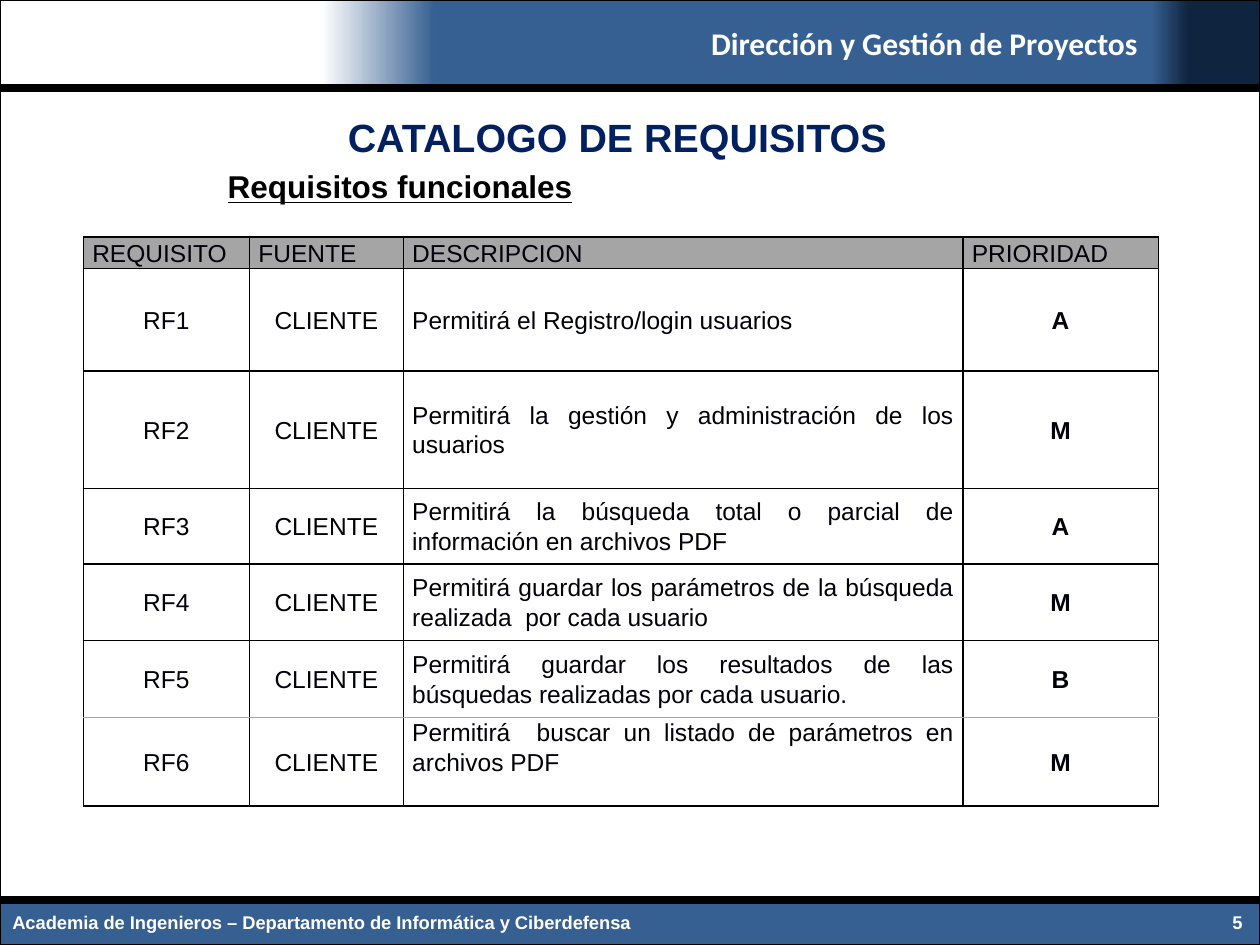
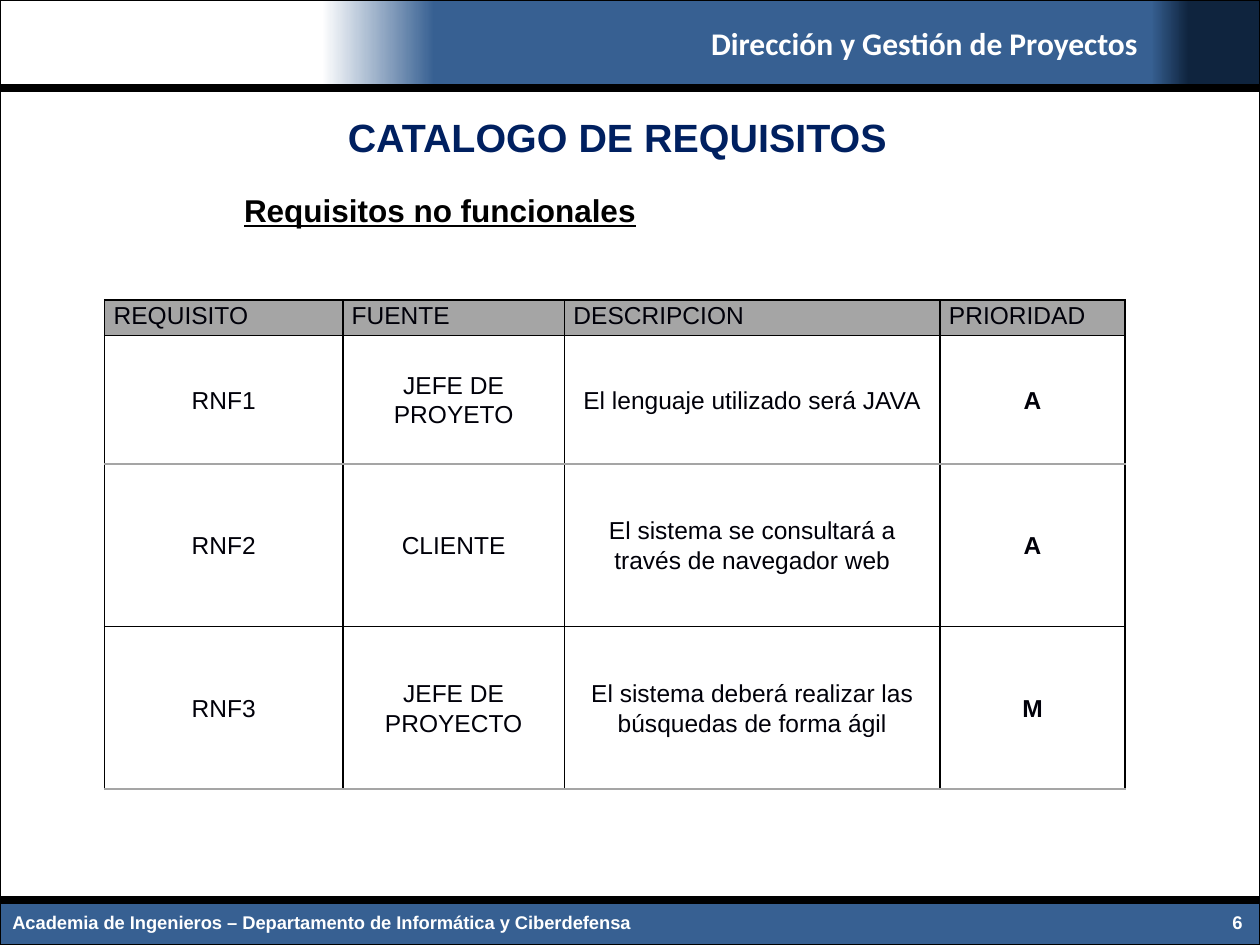
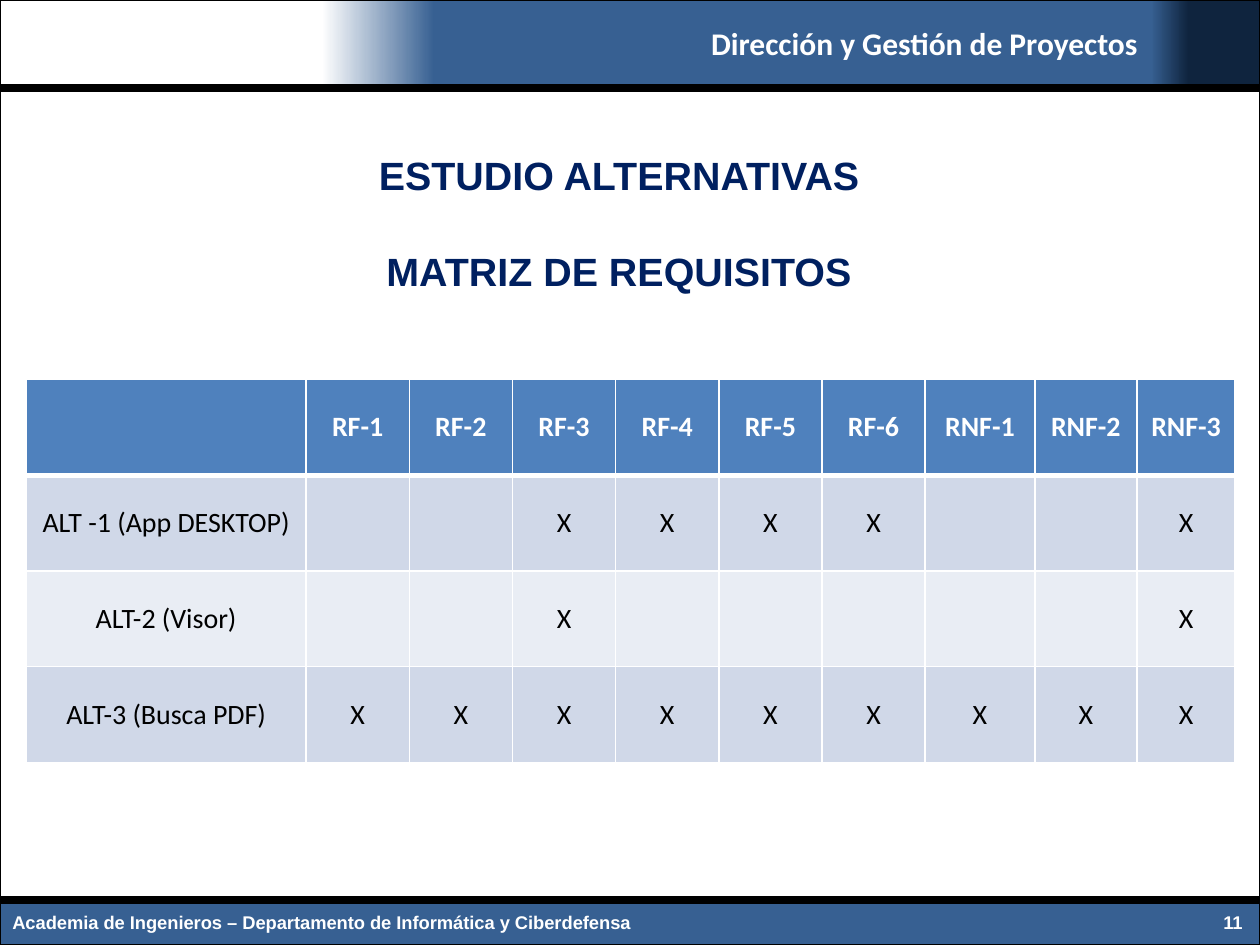
import pptx
import pptx.dml.color
import pptx.enum.shapes
import pptx.enum.text
import pptx.oxml.ns
import pptx.util
from lxml import etree

Cm, Pt, qn = pptx.util.Cm, pptx.util.Pt, pptx.oxml.ns.qn
ALIGN = pptx.enum.text.PP_ALIGN
ANCHOR = pptx.enum.text.MSO_ANCHOR
SHAPE = pptx.enum.shapes.MSO_SHAPE
LINE = pptx.enum.shapes.MSO_CONNECTOR

# Shared colours and sizes (cm)
BLUE, NAVY, DARK = "376092", "002060", "0F243E"
WHITE, BLACK, INK, GREY = "FFFFFF", "000000", "000009", "A5A5A5"
HEAD_BLUE, BANDS = "4F81BD", ("D0D8E8", "E9EDF4")
PAGE_W, PAGE_H = 25.4, 19.05
HEADER = (6.48, -0.05, 19, 1.78)
FOOTER = (0, 18.14, PAGE_W, 0.91)
TITLE = (5.49, 2.21, 13.92, 1.04)
COURSE = "Dirección y Gestión de Proyectos"
SCHOOL = "Academia de Ingenieros – Departamento de Informática y Ciberdefensa"


def rgb(hex_text):
    return pptx.dml.color.RGBColor.from_string(hex_text)


def cm(*lengths):
    return [Cm(v) for v in lengths]


def write(tf, text, size=14, font="Arial", color=BLACK, bold=False, underline=None,
          align=ALIGN.LEFT, anchor=ANCHOR.TOP, line=None, gap=0):
    """Fill a text frame, one paragraph per line; gap is the space between them."""
    tf.word_wrap = True
    tf.vertical_anchor = anchor
    for i, content in enumerate(text.split("\n")):
        p = tf.add_paragraph() if i else tf.paragraphs[0]
        p.alignment = align
        p.line_spacing = line
        p.space_before = Pt(gap if i else 0)
        r = p.add_run()
        r.text = content
        f = r.font
        f.size, f.name, f.bold, f.underline = Pt(size), font, bold, underline
        f.color.rgb = rgb(color)


def add_text(s, box, text, **fmt):
    write(s.shapes.add_textbox(*cm(*box)).text_frame, text, **fmt)


def add_rect(s, box, fill=None, line=None):
    sp = s.shapes.add_shape(SHAPE.RECTANGLE, *cm(*box))
    sp.shadow.inherit = False
    if fill:
        sp.fill.solid()
        sp.fill.fore_color.rgb = rgb(fill)
    else:
        sp.fill.background()
    if line:
        sp.line.color.rgb = rgb(line)
        sp.line.width = Pt(1)
    else:
        sp.line.fill.background()
    return sp


def add_rule(s, y):
    c = s.shapes.add_connector(LINE.STRAIGHT, *cm(0, y, PAGE_W, y))
    c.line.color.rgb = rgb(BLACK)
    c.line.width = Pt(4.5)
    etree.SubElement(c.element.spPr, qn("a:effectLst"))


def set_gradient(sp, stops):
    sp.fill.gradient()
    sp.fill.gradient_angle = 0
    gs_list = next(sp.element.iter(qn("a:gsLst")))
    for gs in list(gs_list):
        gs_list.remove(gs)
    for percent, color in stops:
        gs = etree.SubElement(gs_list, qn("a:gs"), pos=str(percent * 1000))
        etree.SubElement(gs, qn("a:srgbClr"), val=color)


# Header band, footer and page frame
def add_header(s, box):
    x, y, w, h = box
    band = add_rect(s, box, fill=BLUE)
    set_gradient(band, [(0, WHITE), (12, BLUE), (88, BLUE), (92, DARK)])
    add_text(s, (x + 0.33, y + 0.25, w - 2.62, 1.32), COURSE, size=18, font="Calibri",
             color=WHITE, bold=True, align=ALIGN.RIGHT, anchor=ANCHOR.MIDDLE)


def add_footer(s, box, number):
    x, y, w, h = box
    add_rect(s, box, fill=BLUE)
    fmt = dict(size=10.5, color=WHITE, bold=True, anchor=ANCHOR.MIDDLE)
    add_text(s, (x, y, 20.7, h), SCHOOL, **fmt)
    add_text(s, (x + w - 3.4, y, 3.3, h), str(number), align=ALIGN.RIGHT, **fmt)


def add_page(prs, number, title, title_box=TITLE):
    s = prs.slides.add_slide(prs.slide_layouts[5])
    add_header(s, HEADER)
    add_footer(s, FOOTER, number)
    add_rule(s, FOOTER[1])
    add_rule(s, HEADER[3])
    add_rect(s, (0, 0, PAGE_W, PAGE_H), line=BLACK)
    sp = s.shapes.title
    sp.left, sp.top, sp.width, sp.height = cm(*title_box)
    tf = sp.text_frame
    tf.auto_size = pptx.enum.text.MSO_AUTO_SIZE.NONE
    tf.margin_left = tf.margin_right = Cm(0.15)
    tf.margin_top = tf.margin_bottom = Cm(0.08)
    write(tf, title, size=22.5, color=NAVY, bold=True, align=ALIGN.CENTER, gap=28)
    return s


# Tables
def add_grid(s, left, top, widths, heights):
    frame = s.shapes.add_table(len(heights), len(widths),
                               *cm(left, top, sum(widths), sum(heights)))
    table = frame.table
    table.first_row = table.horz_banding = False
    for column, width in zip(table.columns, widths):
        column.width = Cm(width)
    for row, height in zip(table.rows, heights):
        row.height = Cm(height)
    return table


def style_cell(cell, fill, top, bottom, side):
    """Set borders, each a (colour, points) pair, and then the fill."""
    tc_pr = cell._tc.get_or_add_tcPr()
    for tag, (color, width) in (("L", side), ("R", side), ("T", top), ("B", bottom)):
        ln = etree.SubElement(tc_pr, qn("a:ln" + tag), w=str(Pt(width)))
        solid = etree.SubElement(ln, qn("a:solidFill"))
        etree.SubElement(solid, qn("a:srgbClr"), val=color)
    cell.fill.solid()
    cell.fill.fore_color.rgb = rgb(fill)


def add_requirements(s, left, top, widths, heights, rows, grey_below=(),
                     head_anchor=ANCHOR.MIDDLE, text_align=ALIGN.CENTER, top_rows=()):
    """Requirement table; grey_below lists the rows with a grey lower border."""
    table = add_grid(s, left, top, widths, heights)
    heads = ("REQUISITO", "FUENTE", "DESCRIPCION", "PRIORIDAD")
    edge = lambda i: (GREY if i in grey_below else BLACK, 1)
    for i, values in enumerate([heads, *rows]):
        for j, value in enumerate(values):
            cell = table.cell(i, j)
            style_cell(cell, WHITE if i else GREY, edge(i - 1), edge(i), (BLACK, 1))
            cell.margin_left = cell.margin_right = Cm(0.18)
            cell.margin_top = cell.margin_bottom = 0
            is_text = j == 2
            if i == 0:
                align, anchor = ALIGN.JUSTIFY, head_anchor
            else:
                align = text_align if is_text else ALIGN.CENTER
                anchor = ANCHOR.TOP if is_text and i in top_rows else ANCHOR.MIDDLE
            write(cell.text_frame, value, color=INK, bold=i > 0 and j == 3,
                  align=align, line=1.07)
            cell.vertical_anchor = anchor


def add_matrix(s, left, top, widths, heights, heads, alternatives):
    """Matrix of alternatives; each names the requirements it meets."""
    table = add_grid(s, left, top, widths, heights)
    rows = [["", *heads]]
    rows += [[name, *("X" if h in met else "" for h in heads)]
             for name, met in alternatives]
    thin, thick = (WHITE, 1), (WHITE, 3)
    for i, values in enumerate(rows):
        for j, value in enumerate(values):
            cell = table.cell(i, j)
            style_cell(cell, BANDS[(i - 1) % 2] if i else HEAD_BLUE,
                       thick if i == 1 else thin, thin if i else thick, thin)
            if value:
                write(cell.text_frame, value, size=16, font="Calibri", bold=i == 0,
                      color=BLACK if i else WHITE, align=ALIGN.CENTER)
            cell.vertical_anchor = ANCHOR.MIDDLE


# Slides
def functional_slide(prs):
    s = add_page(prs, 5, "CATALOGO DE REQUISITOS")
    details = [
        ("Permitirá el Registro/login usuarios", "A"),
        ("Permitirá la gestión y administración de los usuarios", "M"),
        ("Permitirá la búsqueda total o parcial de información en archivos PDF", "A"),
        ("Permitirá guardar los parámetros de la búsqueda realizada  por cada usuario", "M"),
        ("Permitirá guardar los resultados de las búsquedas realizadas por cada usuario.", "B"),
        ("Permitirá  buscar un listado de parámetros en archivos PDF", "M"),
    ]
    rows = [(f"RF{n}", "CLIENTE", *detail) for n, detail in enumerate(details, 1)]
    add_requirements(s, 1.68, 4.78, [3.35, 3.1, 11.28, 3.94],
                     [0.6, 2.06, 2.37, 1.52, 1.55, 1.55, 1.78], rows,
                     grey_below=(5,), text_align=ALIGN.JUSTIFY, top_rows=(6,))
    add_text(s, (4.34, 3.25, 13.11, 1.02), "Requisitos funcionales",
             size=18, bold=True, underline=True)


def non_functional_slide(prs):
    s = add_page(prs, 6, "CATALOGO DE REQUISITOS")
    add_text(s, (4.67, 3.73, 13.11, 1.02), "Requisitos no funcionales",
             size=18, bold=True, underline=True)
    rows = [
        ("RNF1", "JEFE DE PROYETO", "El lenguaje utilizado será JAVA", "A"),
        ("RNF2", "CLIENTE", "El sistema se consultará a través de navegador web", "A"),
        ("RNF3", "JEFE DE PROYECTO", "El sistema deberá realizar las búsquedas de forma ágil",
         "M"),
    ]
    add_requirements(s, 2.11, 6.05, [4.8, 4.47, 7.57, 3.73], [0.71, 2.59, 3.28, 3.28],
                     rows, grey_below=(1, 3), head_anchor=ANCHOR.TOP)


def matrix_slide(prs):
    s = add_page(prs, 11, "ESTUDIO ALTERNATIVAS\nMATRIZ DE REQUISITOS",
                 (3.99, 2.97, 16.99, 3.68))
    heads = [f"RF-{n}" for n in range(1, 7)] + [f"RNF-{n}" for n in range(1, 4)]
    alternatives = [
        ("ALT -1 (App DESKTOP)", heads[2:6] + heads[8:]),
        ("ALT-2 (Visor)", [heads[2], heads[8]]),
        ("ALT-3 (Busca PDF)", heads),
    ]
    add_matrix(s, 0.53, 7.65, [5.64] + [2.08] * 6 + [2.21, 2.06, 1.98], [1.93] * 4,
               heads, alternatives)


def main():
    prs = pptx.Presentation()
    prs.slide_width, prs.slide_height = cm(PAGE_W, PAGE_H)
    functional_slide(prs)
    non_functional_slide(prs)
    matrix_slide(prs)
    prs.save("out.pptx")


if __name__ == "__main__":
    main()
